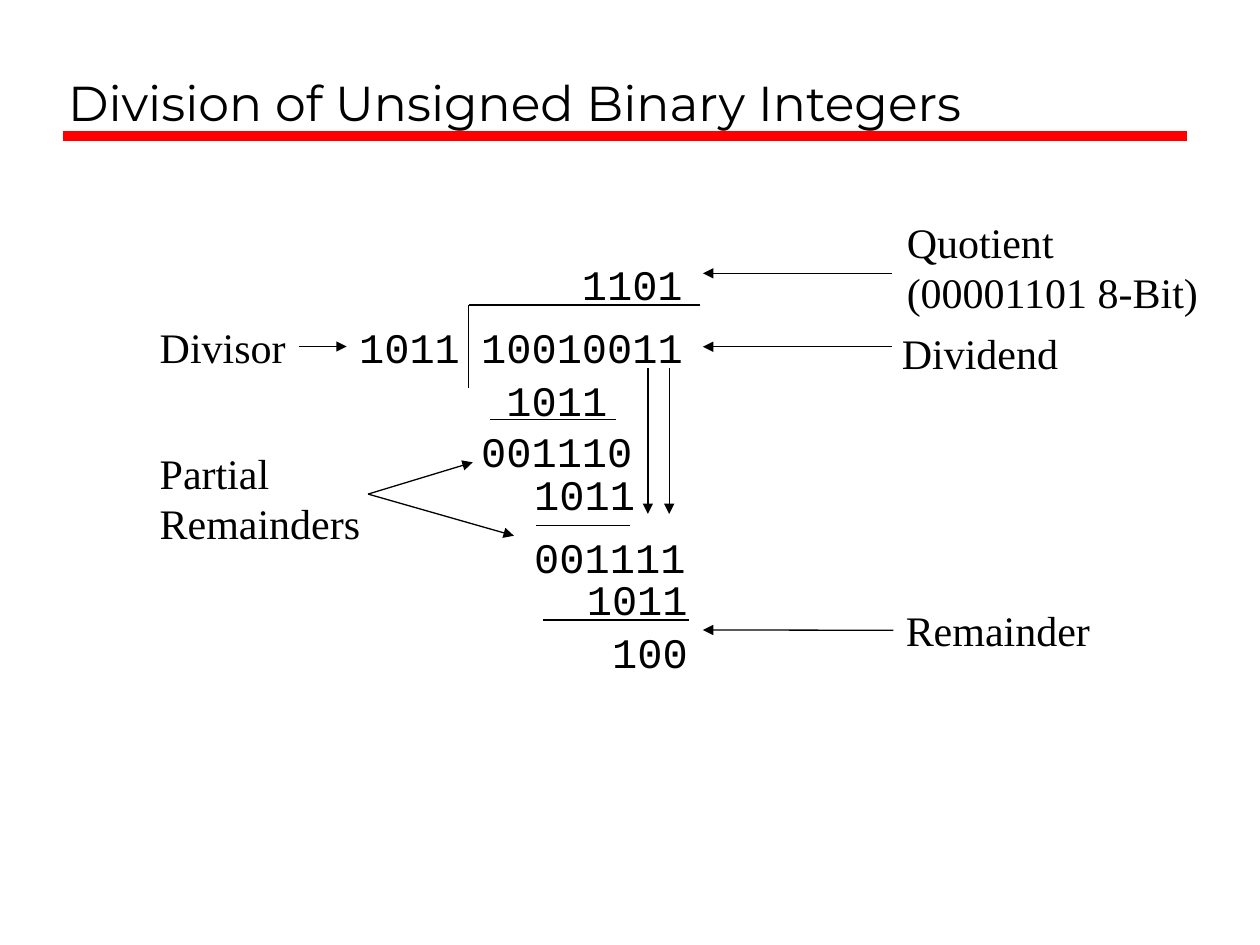
"""Build a slide showing long division of unsigned binary integers."""
from lxml import etree
from pptx import Presentation
from pptx.dml.color import RGBColor
from pptx.enum import shapes, text
from pptx.oxml.ns import qn
from pptx.util import Cm, Pt


def add_text(lines, left, top, width, font_name):
    box = slide.shapes.add_textbox(Cm(left), Cm(top), Cm(width), Cm(0.25 + 1.02 * len(lines)))
    frame = box.text_frame
    frame.word_wrap = False
    frame.text = "\n".join(lines)
    for paragraph in frame.paragraphs:
        paragraph.font.name = font_name
        paragraph.font.size = Pt(24)
        paragraph.font.color.rgb = RGBColor.from_string("000000")
    return box


def add_line(x1, y1, x2, y2, arrow=False, color="000000", width=0.75):
    line = slide.shapes.add_connector(
        shapes.MSO_CONNECTOR.STRAIGHT, Cm(x1), Cm(y1), Cm(x2), Cm(y2))
    line.line.color.rgb = RGBColor.from_string(color)
    line.line.width = Pt(width)
    if arrow:
        etree.SubElement(line.line._get_or_add_ln(), qn("a:tailEnd"), type="triangle")
    etree.SubElement(line._element.spPr, qn("a:effectLst"))
    return line


presentation = Presentation()
presentation.slide_width, presentation.slide_height = Cm(25.4), Cm(19.05)
slide = presentation.slides.add_slide(presentation.slide_layouts[5])

add_line(1.27, 2.74, 23.93, 2.74, color="FF0000", width=6)

title = slide.shapes.title
title.left, title.top, title.width, title.height = Cm(1.12), Cm(0.43), Cm(22.78), Cm(2.34)
title.text_frame.text = "Division of Unsigned Binary Integers"
title.text_frame.vertical_anchor = text.MSO_ANCHOR.BOTTOM
heading = title.text_frame.paragraphs[0]
heading.alignment = text.PP_ALIGN.LEFT
heading.font.name = "Montserrat"
heading.font.size = Pt(28)
heading.font.color.rgb = RGBColor.from_string("000000")

digit_width = 0.508
numbers = [
    ("1011", 6.99, 6.35),
    ("1101", 11.48, 5.08),
    ("10010011", 9.45, 6.35),
    ("1011", 9.96, 7.42),
    ("001110", 9.45, 8.46),
    ("1011", 10.52, 9.32),
    ("001111", 10.52, 10.59),
    ("1011", 11.58, 11.43),
    ("100", 12.09, 12.5),
]
number_boxes = [
    add_text([digits], left, top, digit_width * (len(digits) + 1), "Courier New")
    for digits, left, top in numbers
]

labels = [
    (["Quotient", "(00001101 8-Bit)"], 18.03, 4.24, 6.4),
    (["Dividend"], 17.93, 6.48, 3.66),
    (["Partial", "Remainders"], 2.97, 8.89, 4.55),
    (["Divisor"], 2.97, 6.35, 3.05),
    (["Remainder"], 18.01, 12.07, 4.22),
]
label_boxes = {
    lines[0]: add_text(lines, left, top, width, "Times New Roman")
    for lines, left, top, width in labels
}

division_lines = [
    (14.12, 6.15, 9.45, 6.15),
    (9.45, 6.15, 9.45, 7.82),
    (9.88, 8.46, 12.42, 8.46),
    (12.7, 10.59, 10.8, 10.59),
    (10.95, 12.5, 13.89, 12.5),
]
for ends in division_lines:
    add_line(*ends)

for x in (13.06, 13.49):
    add_line(x, 7.42, x, 10.36, arrow=True)
for y in (5.51, 6.99):
    add_line(17.98, y, 14.17, y, arrow=True)
for x, y in ((9.53, 9.32), (10.36, 10.8)):
    add_line(7.42, 9.96, x, y, arrow=True)

remainder_arrow = add_line(17.98, 12.7, 14.17, 12.7, arrow=True)
remainder_arrow.begin_connect(label_boxes["Remainder"], 1)
divisor_arrow = add_line(5.92, 6.99, 6.99, 6.99, arrow=True)
divisor_arrow.begin_connect(label_boxes["Divisor"], 3)
divisor_arrow.end_connect(number_boxes[0], 1)

presentation.save("out.pptx")
